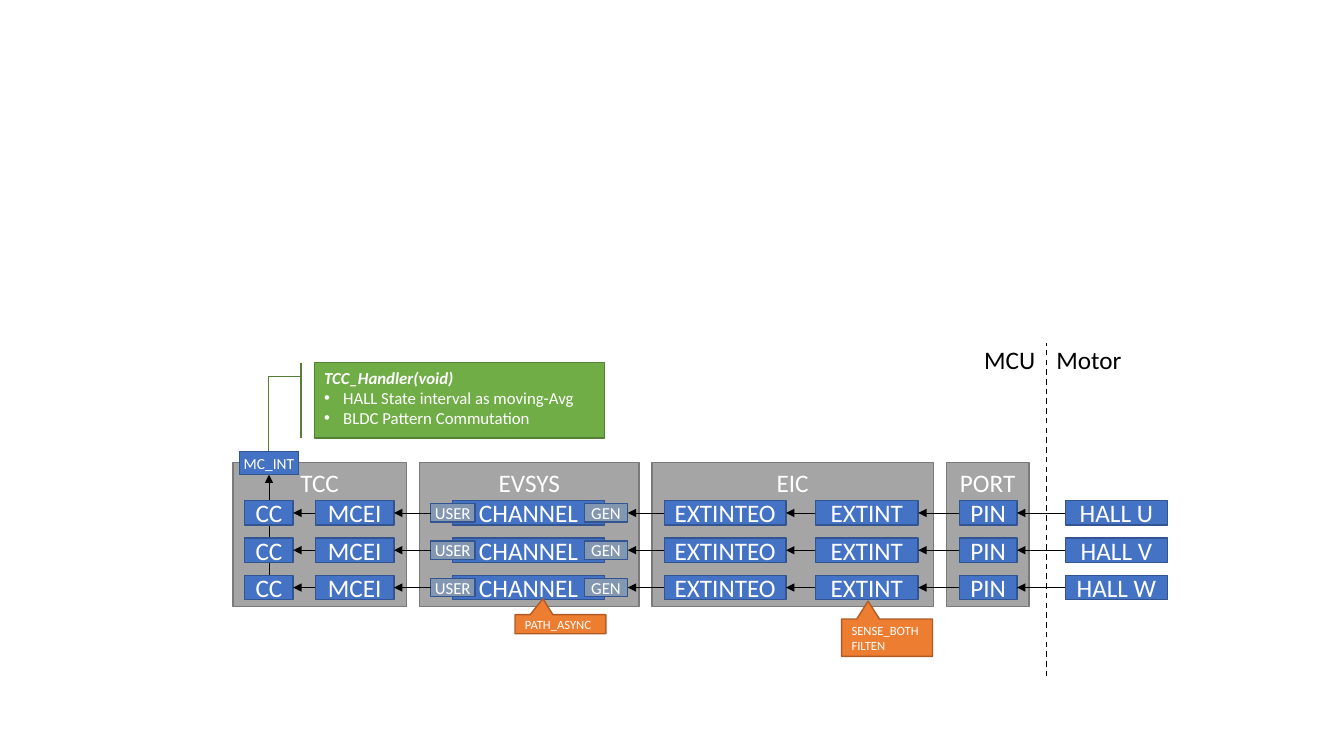
from lxml.etree import SubElement
from pptx import Presentation
from pptx.dml.color import RGBColor
from pptx.enum.dml import MSO_LINE
from pptx.enum.shapes import MSO_CONNECTOR as LINK, MSO_SHAPE as SHAPE
from pptx.enum.text import MSO_ANCHOR as ANCHOR, MSO_AUTO_SIZE as FIT, PP_ALIGN as ALIGN
from pptx.oxml.ns import qn
from pptx.util import Cm, Pt

COLORS = {
    "chip": "4472C4", "chip_edge": "325491", "tag": "8497B0",
    "panel": "A5A5A5", "panel_edge": "7A7A7A",
    "note": "ED7D31", "note_edge": "AF5C24",
    "handler": "70AD47", "handler_edge": "538035",
    "white": "FFFFFF", "black": "000000",
}
PANEL_TOP, PANEL_HEIGHT = 11.66, 3.63
ROW_OFFSET, ROW_PITCH, ROW_COUNT = 0.96, 0.94, 3
CHIP_HEIGHT, TAG_HEIGHT = 0.61, 0.46
TOP, LEFT, BOTTOM, RIGHT = range(4)


def rgb(name):
    return RGBColor.from_string(COLORS[name])


def write(paragraph, text, size, color="white"):
    run = paragraph.add_run()
    run.text = text
    run.font.name = "Calibri"
    run.font.size = Pt(size)
    run.font.color.rgb = rgb(color)
    return run


def block(slide, box, kind, lines, size, preset=SHAPE.RECTANGLE, edge=None,
          align=ALIGN.CENTER, anchor=ANCHOR.MIDDLE, wrap=True):
    """Draw a filled preset shape with one paragraph for each line of text."""
    shape = slide.shapes.add_shape(preset, *map(Cm, box))
    shape.shadow.inherit = False
    shape.fill.solid()
    shape.fill.fore_color.rgb = rgb(kind)
    shape.line.color.rgb = rgb(edge or kind + "_edge")
    shape.line.width = Pt(1)
    frame = shape.text_frame
    frame.word_wrap = wrap
    frame.vertical_anchor = anchor
    for index, line in enumerate(lines):
        paragraph = frame.add_paragraph() if index else frame.paragraphs[0]
        paragraph.alignment = align
        write(paragraph, line, size)
    return shape


def panel(slide, left, width, title):
    block(slide, (left, PANEL_TOP, width, PANEL_HEIGHT), "panel", [title], 18,
          anchor=ANCHOR.TOP)


def column(slide, left, width, labels, kind="chip", height=CHIP_HEIGHT, size=18):
    """Stack one chip per signal row, centred on the row."""
    first = PANEL_TOP + ROW_OFFSET + (CHIP_HEIGHT - height) / 2
    return [block(slide, (left, first + row * ROW_PITCH, width, height), kind,
                  [label], size, edge="chip_edge", wrap=False)
            for row, label in enumerate(labels)]


def note(slide, box, lines, pointer):
    callout = block(slide, box, "note", lines, 9, SHAPE.RECTANGULAR_CALLOUT,
                    align=ALIGN.LEFT)
    callout.adjustments[0], callout.adjustments[1] = pointer


def straight_line(slide, ends=(0, 0, 0, 0), width=0.5):
    line = slide.shapes.add_connector(LINK.STRAIGHT, *map(Cm, ends))
    line.line.color.rgb = rgb("black")
    line.line.width = Pt(width)
    SubElement(line._element.spPr, qn("a:effectLst"))
    return line


def arrow(slide):
    """Add an arrow that is placed when its ends are joined."""
    line = straight_line(slide)
    SubElement(line.line._get_or_add_ln(), qn("a:tailEnd"), type="triangle")
    return line


def join(line, start, start_side, end, end_side):
    line.begin_connect(start, start_side)
    line.end_connect(end, end_side)


def link_rows(slide, sources, targets):
    for source, target in zip(sources, targets):
        join(arrow(slide), source, LEFT, target, RIGHT)


def handler_note(slide, left, top):
    callout = block(slide, (left, top, 7.32, 1.9), "handler", [], 12,
                    SHAPE.LINE_CALLOUT_2_BORDER_AND_ACCENT_BAR, anchor=ANCHOR.TOP)
    for index, value in enumerate((0.18, -0.045, 0.18, -0.157, 2.543, -0.157)):
        callout.adjustments[index] = value
    frame = callout.text_frame
    heading = frame.paragraphs[0]
    heading.alignment = ALIGN.LEFT
    signature = write(heading, "TCC_Handler(void)", 12)
    signature.font.bold = signature.font.italic = True
    for task in ("HALL State interval as moving-Avg", "BLDC Pattern Commutation"):
        paragraph = frame.add_paragraph()
        paragraph.alignment = ALIGN.LEFT
        write(paragraph, task, 12)
        props = paragraph._p.get_or_add_pPr()
        props.set("marL", str(Cm(0.48)))
        props.set("indent", str(-Cm(0.48)))
        SubElement(props, qn("a:buFont"), typeface="Arial")
        SubElement(props, qn("a:buChar"), char="•")


def tcc(slide, left):
    panel(slide, left, 4.37, "TCC")
    interrupt_arrow = arrow(slide)
    captures = column(slide, left + 0.3, 1.22, ["CC"] * ROW_COUNT)
    inputs = column(slide, left + 2.08, 1.98, ["MCEI"] * ROW_COUNT)
    interrupt = block(slide, (left + 0.16, PANEL_TOP - 0.28, 1.5, 0.58), "chip",
                      ["MC_INT"], 11, wrap=False)
    join(interrupt_arrow, captures[-1], TOP, interrupt, BOTTOM)
    link_rows(slide, inputs, captures)
    return inputs


def evsys(slide, left):
    panel(slide, left, 5.54, "EVSYS")
    column(slide, left + 0.83, 3.84, ["CHANNEL"] * ROW_COUNT)
    generators = column(slide, left + 4.16, 1.09, ["GEN"] * ROW_COUNT,
                        "tag", TAG_HEIGHT, 12)
    users = column(slide, left + 0.28, 1.12, ["USER"] * ROW_COUNT,
                   "tag", TAG_HEIGHT, 12)
    note(slide, (left + 2.41, PANEL_TOP + PANEL_HEIGHT + 0.2, 2.29, 0.48),
         ["PATH_ASYNC"], (-0.193, -1.336))
    return users, generators


def eic(slide, left):
    panel(slide, left, 7.09, "EIC")
    outputs = column(slide, left + 0.31, 3.07, ["EXTINTEO"] * ROW_COUNT)
    interrupts = column(slide, left + 4.12, 2.59, ["EXTINT"] * ROW_COUNT)
    link_rows(slide, interrupts, outputs)
    note(slide, (left + 4.78, PANEL_TOP + PANEL_HEIGHT + 0.31, 2.29, 0.94),
         ["SENSE_BOTH", "FILTEN"], (-0.208, -0.98))
    return outputs, interrupts


def port(slide, left):
    panel(slide, left, 2.08, "PORT")
    return column(slide, left + 0.33, 1.45, ["PIN"] * ROW_COUNT)


def boundary(slide, x, top, bottom):
    """Separate the controller side from the motor side."""
    divider = straight_line(slide, (x, bottom, x, top), 1)
    divider.line.dash_style = MSO_LINE.DASH
    for side, left, width in (("MCU", x - 1.82, 1.82), ("Motor", x, 2.16)):
        label = slide.shapes.add_textbox(Cm(left), Cm(top - 0.08), Cm(width), Cm(1.03))
        label.text_frame.word_wrap = False
        label.text_frame.auto_size = FIT.SHAPE_TO_FIT_TEXT
        write(label.text_frame.paragraphs[0], side, 18, "black")


def main():
    deck = Presentation()
    deck.slide_width, deck.slide_height = Cm(33.87), Cm(19.05)
    slide = deck.slides.add_slide(deck.slide_layouts[6])
    handler_note(slide, 7.92, 9.14)
    capture_inputs = tcc(slide, 5.87)
    users, generators = evsys(slide, 10.57)
    outputs, interrupts = eic(slide, 16.43)
    pins = port(slide, 23.85)
    halls = column(slide, 26.85, 2.57, ["HALL U", "HALL V", "HALL W"])
    for sources, targets in ((halls, pins), (pins, interrupts),
                             (outputs, generators), (users, capture_inputs)):
        link_rows(slide, sources, targets)
    boundary(slide, 26.37, 8.64, 17.04)
    deck.save("out.pptx")


if __name__ == "__main__":
    main()
